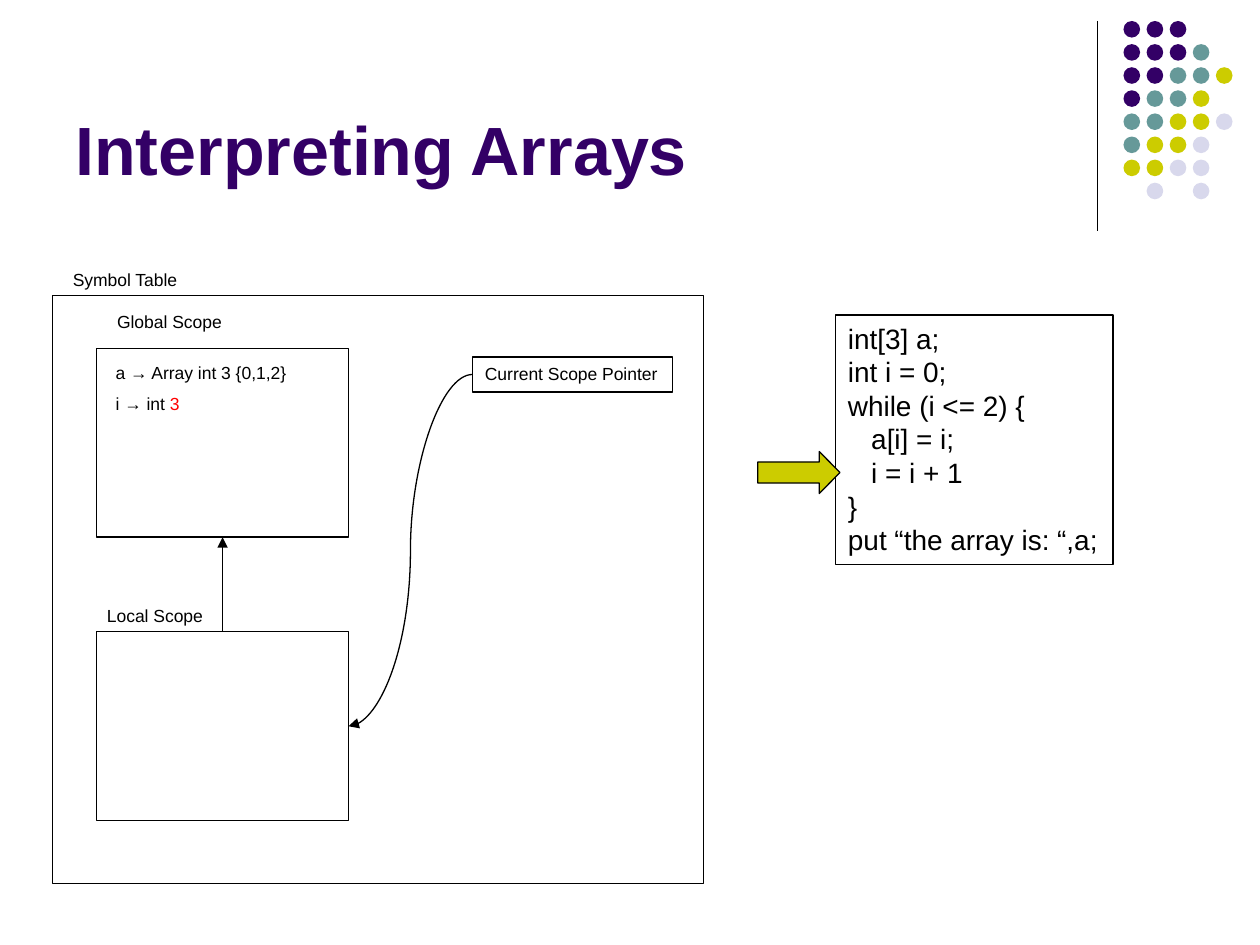
from typing import NamedTuple

from lxml.etree import SubElement
from pptx import Presentation
from pptx.dml.color import RGBColor
from pptx.enum.shapes import MSO_CONNECTOR, MSO_SHAPE
from pptx.enum.text import MSO_ANCHOR, PP_ALIGN
from pptx.oxml.ns import qn
from pptx.util import Pt

BLACK, RED, PURPLE, TEAL, LIME, PALE = (
    "000000", "FF0000", "330066", "669999", "CCCC00", "D8D8EC")


class Run(NamedTuple):
    text: str
    hue: str = BLACK


class Line(NamedTuple):
    runs: list[Run]
    dent: float = 0


class Box(NamedTuple):
    left: float
    top: float
    width: float
    height: float
    lines: list[Line] = []
    size: float = 10
    edge: bool = False
    wrap: bool = False
    bold: bool = False
    anchor: MSO_ANCHOR = MSO_ANCHOR.TOP


class Link(NamedTuple):
    kind: MSO_CONNECTOR
    start: tuple[float, float]
    end: tuple[float, float]
    head: bool = True


def color(code: str) -> RGBColor:
    return RGBColor.from_string(code)


def apply(item, values: dict) -> None:
    for name, value in values.items():
        setattr(item, name, value)


def plain(text: str, dent: float = 0) -> Line:
    return Line([Run(text)], dent)


def draw_form(kind: MSO_SHAPE, left: float, top: float, width: float,
              height: float, fill: str = "", edge: bool = False):
    form = slide.shapes.add_shape(kind, Pt(left), Pt(top), Pt(width), Pt(height))
    form.shadow.inherit = False
    if fill:
        form.fill.solid()
        form.fill.fore_color.rgb = color(fill)
    else:
        form.fill.background()
    if edge:
        form.line.color.rgb = color(BLACK)
        form.line.width = Pt(0.75)
    else:
        form.line.fill.background()
    return form


def draw_box(box: Box) -> None:
    if box.edge:
        form = draw_form(MSO_SHAPE.RECTANGLE, *box[:4], edge=True)
    else:
        form = slide.shapes.add_textbox(*map(Pt, box[:4]))
    frame = form.text_frame
    apply(frame, {"word_wrap": box.wrap, "vertical_anchor": box.anchor})
    for row, line in enumerate(box.lines):
        para = frame.add_paragraph() if row else frame.paragraphs[0]
        apply(para, {"alignment": PP_ALIGN.LEFT, "line_spacing": 1.0})
        if line.dent:
            para._p.get_or_add_pPr().set("marL", str(Pt(line.dent)))
        for part in line.runs:
            run = para.add_run()
            run.text = part.text
            apply(run.font, {"name": "Arial", "size": Pt(box.size), "bold": box.bold})
            run.font.color.rgb = color(part.hue)


def draw_link(link: Link) -> None:
    wire = slide.shapes.add_connector(link.kind, *map(Pt, link.start + link.end))
    wire.line.color.rgb = color(BLACK)
    wire.line.width = Pt(0.75)
    if link.head:
        SubElement(wire.line._get_or_add_ln(), qn("a:tailEnd"), type="triangle")
    SubElement(wire._element.spPr, qn("a:effectLst"))


deck = Presentation()
apply(deck, {"slide_width": Pt(720), "slide_height": Pt(540)})
slide = deck.slides.add_slide(deck.slide_layouts[6])

# Corner dots, one letter per hue
HUES = {"P": PURPLE, "T": TEAL, "Y": LIME, "L": PALE}
DOTS = ["PPP", "PPPT", "PPTTY", "PTTY", "TTYYL", "TYYL", "YYLL", " L L"]
STEP = 13.2
for row, marks in enumerate(DOTS):
    for col, mark in enumerate(marks):
        if mark in HUES:
            draw_form(MSO_SHAPE.OVAL, 642 + col * STEP, 12 + row * STEP,
                      9.5, 9.5, HUES[mark])

# Frames, labels and code
CODE = [plain("int[3] a;"), plain("int i = 0;"), plain("while (i <= 2) {"),
        plain("a[i] = i;", 13.3), plain("i = i + 1", 13.3), plain("}"),
        plain("put “the array is: “,a;")]
BOXES = [
    Box(36, 9.4, 594, 102, [Line([Run("Interpreting Arrays", PURPLE)])], size=39,
        wrap=True, bold=True, anchor=MSO_ANCHOR.BOTTOM),
    Box(30, 169, 372, 336, edge=True),
    Box(55.2, 199, 144, 108, edge=True),
    Box(55.2, 361, 144, 108, edge=True),
    Box(34.5, 150, 75.6, 19.4, [plain("Symbol Table")]),
    Box(59.8, 174, 74.2, 19.4, [plain("Global Scope")]),
    Box(54, 342, 72.7, 19.4, [plain("Local Scope ")]),
    Box(270, 204, 114.5, 20, [plain("Current Scope Pointer")], edge=True),
    Box(59, 203.3, 133, 19.4, [plain("a → Array int 3 {0,1,2}")], wrap=True),
    Box(59, 221, 133, 19.4, [Line([Run("i → int "), Run("3", RED)])], wrap=True),
    Box(477.5, 180, 158.5, 142.6, CODE, size=16, edge=True),
]

# Rule beside the dots, scope arrows
LINKS = [
    Link(MSO_CONNECTOR.STRAIGHT, (627, 12), (627, 132), head=False),
    Link(MSO_CONNECTOR.STRAIGHT, (127.2, 361), (127.2, 307)),
    Link(MSO_CONNECTOR.CURVE, (270, 214), (199.2, 415)),
]
for box in BOXES:
    draw_box(box)
for link in LINKS:
    draw_link(link)

# Marker for the current line of code
marker = draw_form(MSO_SHAPE.RIGHT_ARROW, 433, 258, 47, 24, LIME, edge=True)
marker.adjustments[1] = 0.49

deck.save("out.pptx")
